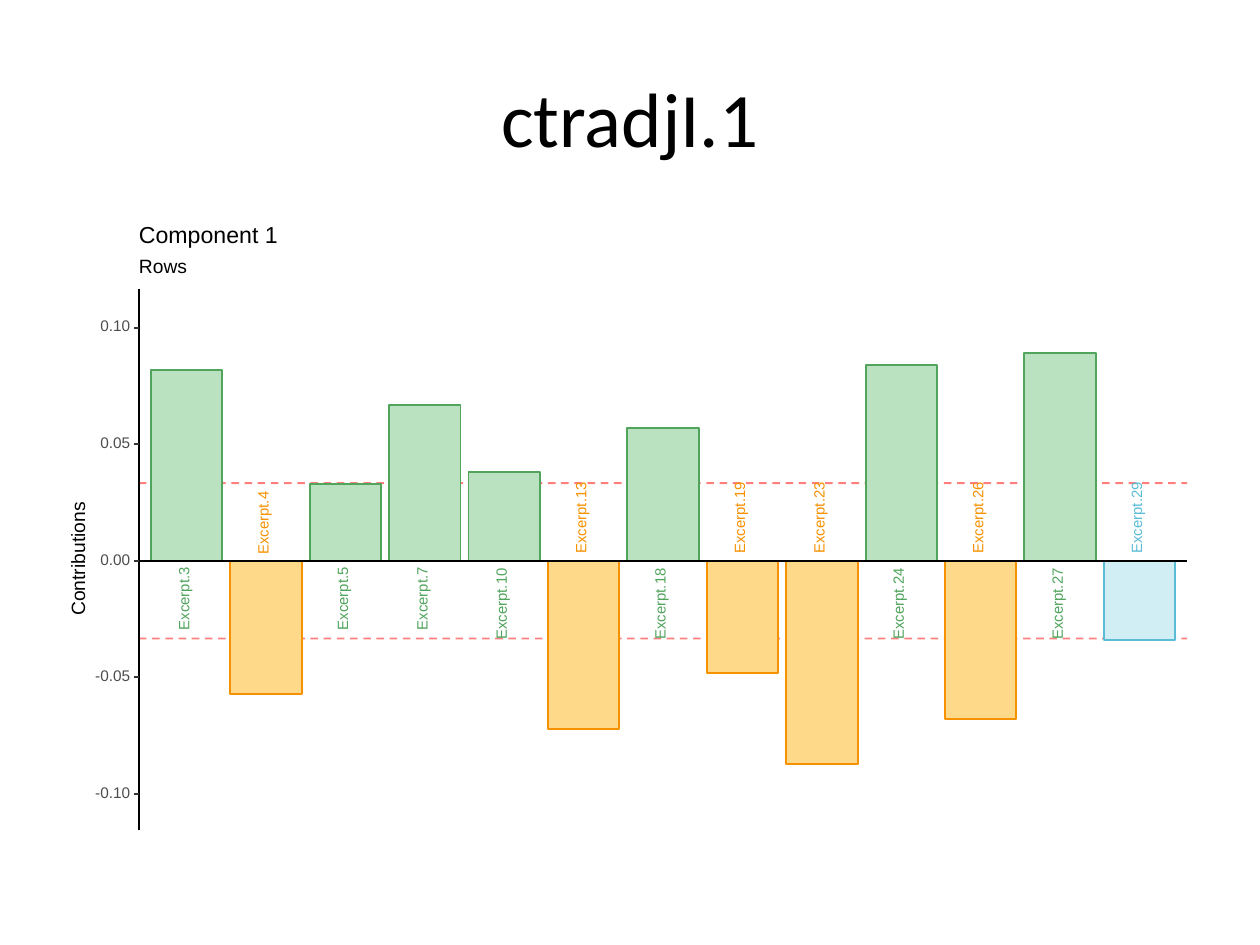
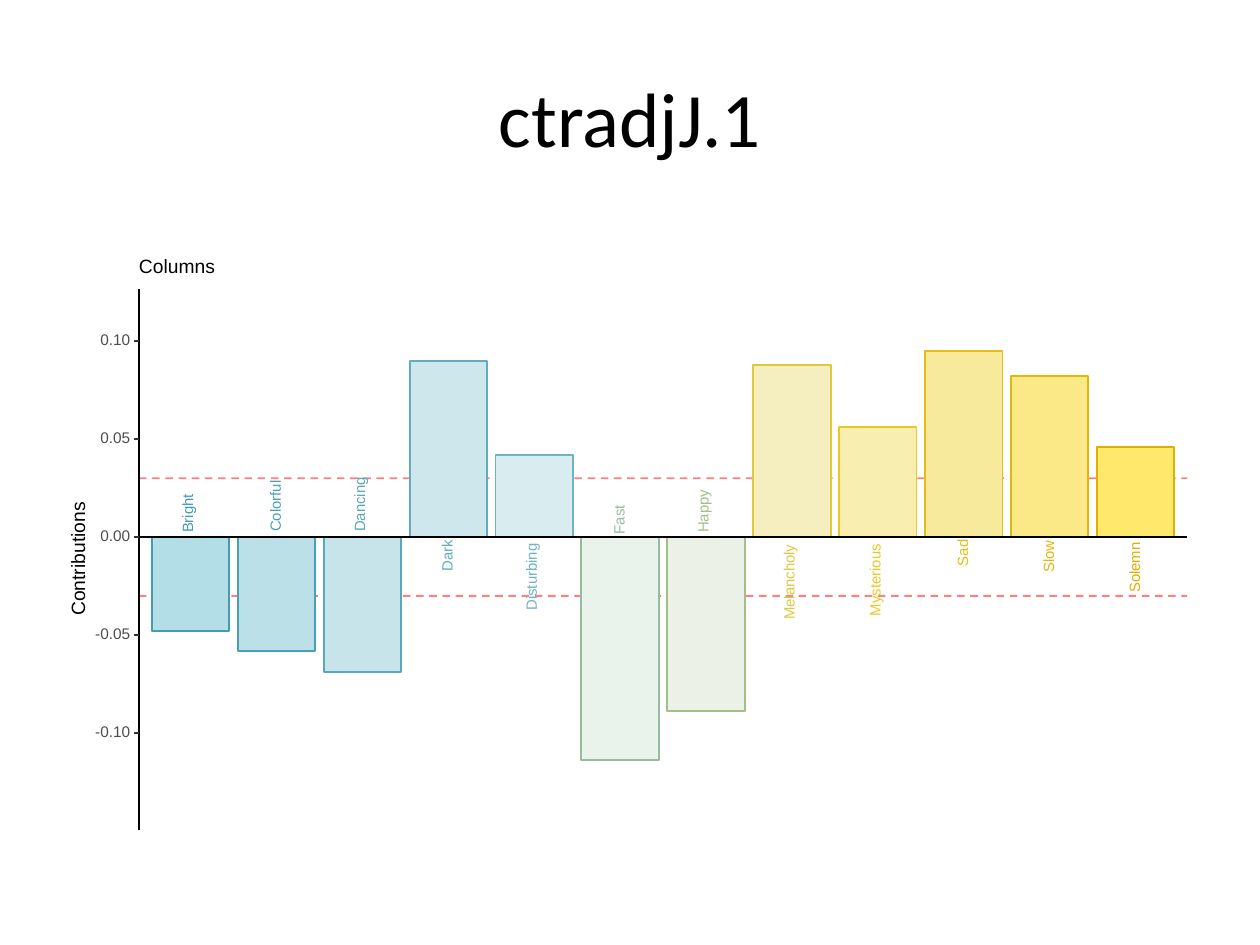
from dataclasses import dataclass
from typing import NamedTuple

import pptx
import pptx.dml.color
import pptx.enum.dml
import pptx.enum.shapes
import pptx.enum.text
import pptx.oxml.ns
import pptx.presentation
import pptx.slide
import pptx.util
from lxml import etree

Pt = pptx.util.Pt
qn = pptx.oxml.ns.qn
ALIGN = pptx.enum.text.PP_ALIGN


class Tone(NamedTuple):
    fill: str
    line: str


@dataclass(frozen=True)
class Theme:
    title_font: str = "Calibri"
    plot_font: str = "Arial"
    ink: str = "000000"
    tick: str = "333333"
    tick_text: str = "4D4D4D"
    threshold: str = "FF0000"
    green: Tone = Tone("BAE1C0", "50A45C")
    orange: Tone = Tone("FFD98A", "F69100")
    blue: Tone = Tone("D2EEF5", "5BBCD6")
    title_size: float = 44
    heading_size: float = 13.2
    subheading_size: float = 11
    tick_size: float = 8.8
    label_size: float = 8.5
    stroke: float = 1.07


THEME = Theme()


class Area(NamedTuple):
    left: float
    top: float
    width: float
    height: float


TITLE = Area(36, 21.6, 648, 90)
PANEL = Area(79.4, 165.2, 599, 309.1)
PANEL_RIGHT = PANEL.left + PANEL.width
PANEL_BOTTOM = PANEL.top + PANEL.height
TICK_STEP = 0.05
TICK_LENGTH = 2.8
BAR_SHARE = 0.9  # part of each category slot that the bar fills
EDGE_SLOTS = 0.1  # free slots at either end of the panel
TEXT_SLACK = 4  # spare length that keeps upright text on one line


class Bar(NamedTuple):
    label: str
    value: float
    label_length: float
    tone: Tone


@dataclass(frozen=True)
class Contribution:
    title: str
    heading: str
    subheading: str
    zero_y: float
    step_height: float  # points for one tick step
    threshold: float
    bars: list[Bar]

    def y(self, value: float) -> float:
        return self.zero_y - value / TICK_STEP * self.step_height

    @property
    def slot(self) -> float:
        return PANEL.width / (len(self.bars) + 2 * EDGE_SLOTS)

    def center_x(self, index: int) -> float:
        return PANEL.left + (index + 0.5 + EDGE_SLOTS) * self.slot


def rgb(color: str) -> pptx.dml.color.RGBColor:
    return pptx.dml.color.RGBColor.from_string(color)


def add_text(slide: pptx.slide.Slide, text: str, area: Area, size: float, color: str,
             align: ALIGN = ALIGN.LEFT, rotation: float = 0,
             font: str = THEME.plot_font) -> None:
    box = slide.shapes.add_textbox(*map(Pt, area))
    box.rotation = rotation
    frame = box.text_frame
    frame.margin_left = frame.margin_right = frame.margin_top = frame.margin_bottom = 0
    frame.word_wrap = False
    frame.vertical_anchor = pptx.enum.text.MSO_ANCHOR.MIDDLE
    frame.text = text
    paragraph = frame.paragraphs[0]
    paragraph.alignment = align
    if font == THEME.plot_font:
        paragraph.line_spacing = Pt(size)
    paragraph.font.name = font
    paragraph.font.size = Pt(size)
    paragraph.font.color.rgb = rgb(color)


def add_upright_text(slide: pptx.slide.Slide, text: str, center_x: float,
                     center_y: float, length: float, size: float, color: str) -> None:
    length += TEXT_SLACK
    area = Area(center_x - length / 2, center_y - 4, length, 8)
    add_text(slide, text, area, size, color, ALIGN.CENTER, 270)


def add_line(slide: pptx.slide.Slide, x1: float, y1: float, x2: float, y2: float,
             color: str, dashed: bool = False) -> None:
    rule = slide.shapes.add_connector(
        pptx.enum.shapes.MSO_CONNECTOR.STRAIGHT, Pt(x1), Pt(y1), Pt(x2), Pt(y2))
    rule.line.width = Pt(THEME.stroke)
    rule.line.color.rgb = rgb(color)
    properties = rule._element.spPr
    if dashed:
        rule.line.dash_style = pptx.enum.dml.MSO_LINE.DASH
        etree.SubElement(properties.find(".//" + qn("a:srgbClr")), qn("a:alpha"), val="50000")
    etree.SubElement(properties, qn("a:effectLst"))


def add_bars(slide: pptx.slide.Slide, content: Contribution) -> None:
    width = BAR_SHARE * content.slot
    for index, bar in enumerate(content.bars):
        end_y = content.y(bar.value)
        area = Area(content.center_x(index) - width / 2, min(end_y, content.zero_y),
                    width, abs(end_y - content.zero_y))
        column = slide.shapes.add_shape(
            pptx.enum.shapes.MSO_SHAPE.RECTANGLE, *map(Pt, area))
        column.shadow.inherit = False
        column.fill.solid()
        column.fill.fore_color.rgb = rgb(bar.tone.fill)
        column.line.color.rgb = rgb(bar.tone.line)
        column.line.width = Pt(THEME.stroke)


def add_bar_labels(slide: pptx.slide.Slide, content: Contribution) -> None:
    """Each label stands across the zero line from its bar."""
    for index, bar in enumerate(content.bars):
        center_x = content.center_x(index)
        if set(bar.label) & set("gpy"):  # descenders push the letters left
            center_x -= 1
        side = 1 if bar.value > 0 else -1
        center_y = content.zero_y + side * 0.6 * bar.label_length
        add_upright_text(slide, bar.label, center_x, center_y, bar.label_length,
                         THEME.label_size, bar.tone.line)


def add_axes(slide: pptx.slide.Slide, content: Contribution) -> None:
    add_line(slide, PANEL.left, content.zero_y, PANEL_RIGHT, content.zero_y, THEME.ink)
    add_line(slide, PANEL.left, PANEL_BOTTOM, PANEL.left, PANEL.top, THEME.ink)
    for step in range(-2, 3):
        value = step * TICK_STEP
        y = content.y(value)
        add_text(slide, f"{value:.2f}", Area(52, y - 3.5, 22.4, 6.5),
                 THEME.tick_size, THEME.tick_text, ALIGN.RIGHT)
        add_line(slide, PANEL.left - TICK_LENGTH, y, PANEL.left, y, THEME.tick)
    add_upright_text(slide, "Contributions", 45.4, 319.4, 65,
                     THEME.subheading_size, THEME.ink)


def build_slide(deck: pptx.presentation.Presentation, content: Contribution) -> None:
    slide = deck.slides.add_slide(deck.slide_layouts[6])
    add_text(slide, content.title, TITLE, THEME.title_size, THEME.ink, ALIGN.CENTER,
             font=THEME.title_font)
    # Thresholds lie behind the bars
    for limit in (content.threshold, -content.threshold):
        y = content.y(limit)
        add_line(slide, PANEL.left, y, PANEL_RIGHT, y, THEME.threshold, dashed=True)
    add_bars(slide, content)
    add_bar_labels(slide, content)
    add_axes(slide, content)
    add_text(slide, content.subheading, Area(PANEL.left, 149, 50, 8),
             THEME.subheading_size, THEME.ink)
    if content.heading:
        add_text(slide, content.heading, Area(PANEL.left, 129, 90, 12),
                 THEME.heading_size, THEME.ink)


# Contents
EXCERPTS = [
    Bar(f"Excerpt.{number}", value, 36 if number < 10 else 41, tone)
    for number, value, tone in [
        (3, 0.082, THEME.green), (4, -0.057, THEME.orange), (5, 0.033, THEME.green),
        (7, 0.067, THEME.green), (10, 0.038, THEME.green), (13, -0.072, THEME.orange),
        (18, 0.057, THEME.green), (19, -0.048, THEME.orange), (23, -0.087, THEME.orange),
        (24, 0.084, THEME.green), (26, -0.068, THEME.orange), (27, 0.089, THEME.green),
        (29, -0.034, THEME.blue),
    ]
]
MOODS = [
    Bar("Bright", -0.048, 22.5, Tone("B4DEE7", "429DB4")),
    Bar("Colorful", -0.058, 29.5, Tone("BCE0E7", "4AA1B6")),
    Bar("Dancing", -0.069, 31, Tone("C8E4EB", "59A8BB")),
    Bar("Dark", 0.09, 18, Tone("CEE7EC", "61ACBD")),
    Bar("Disturbing", 0.042, 38, Tone("D9ECF0", "70B3C2")),
    Bar("Fast", -0.114, 16.5, Tone("EAF2EC", "94BC9E")),
    Bar("Happy", -0.089, 24.5, Tone("EBF1E6", "A3BE8A")),
    Bar("Melancholy", 0.088, 43, Tone("F5EFBF", "DCC93D")),
    Bar("Mysterious", 0.056, 41, Tone("F8EEAF", "E9C824")),
    Bar("Sad", 0.095, 15, Tone("F8EA9D", "E5BD15")),
    Bar("Slow", 0.082, 18.5, Tone("FBE987", "E3B60A")),
    Bar("Solemn", 0.046, 29, Tone("FFE86B", "E1AF00")),
]
CONTRIBUTIONS = [
    Contribution("ctradjI.1", "Component 1", "Rows", 320.5, 66.6, 1 / 30, EXCERPTS),
    Contribution("ctradjJ.1", "", "Columns", 306.9, 56, 0.03, MOODS),
]


def main() -> None:
    deck = pptx.Presentation()
    deck.slide_width, deck.slide_height = Pt(720), Pt(540)
    for content in CONTRIBUTIONS:
        build_slide(deck, content)
    deck.save("out.pptx")


if __name__ == "__main__":
    main()
